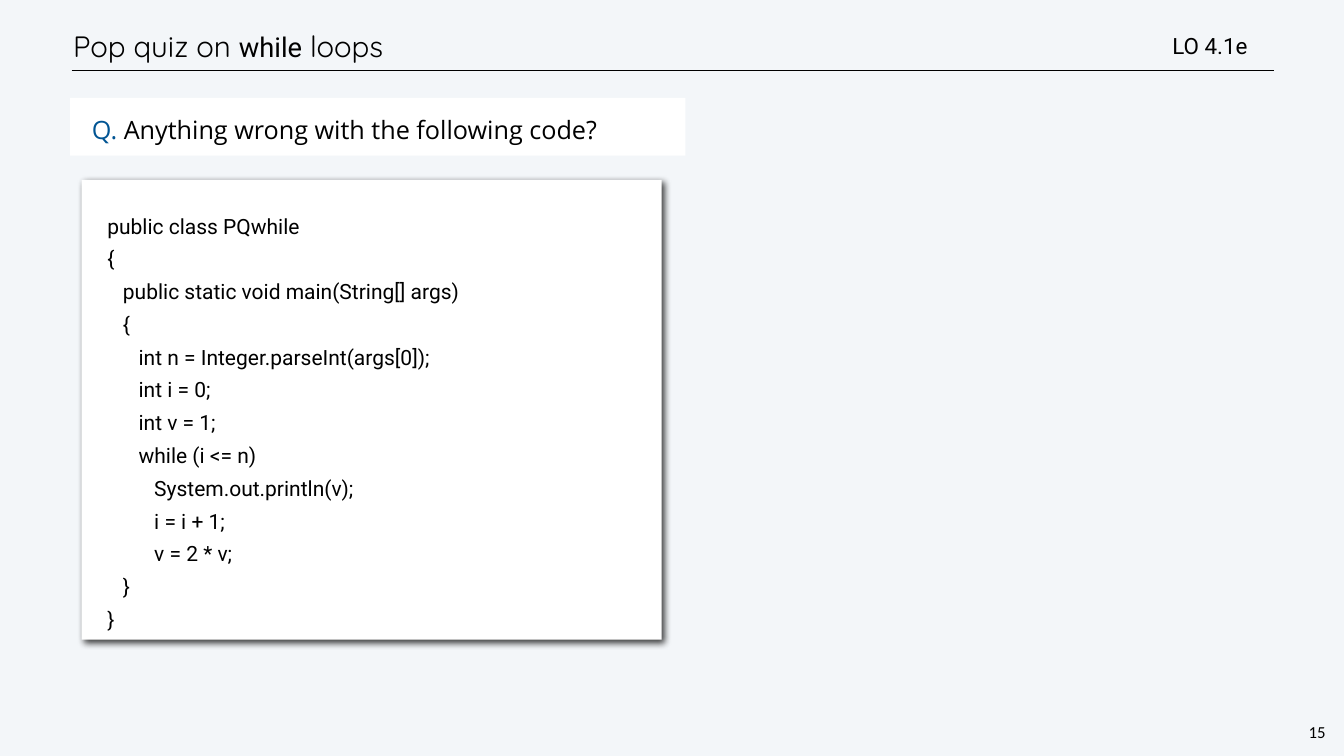
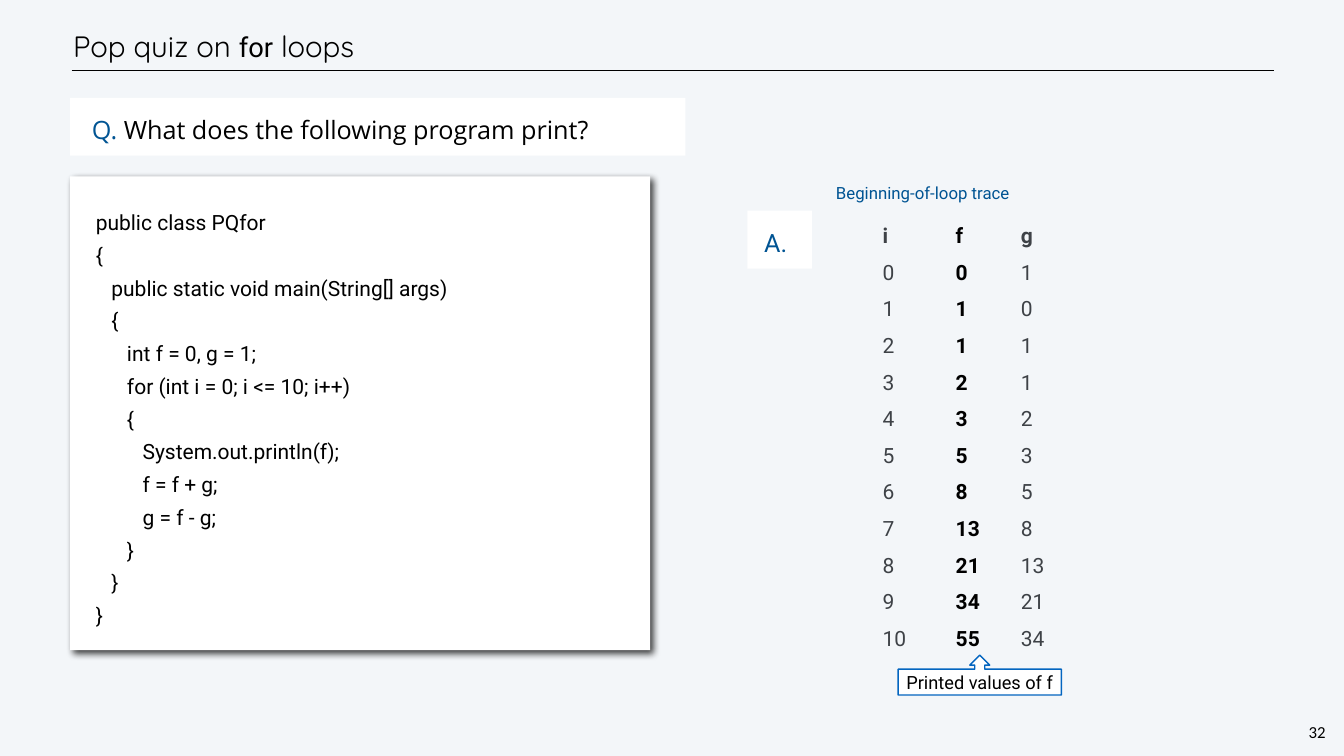
from dataclasses import dataclass
from lxml.etree import SubElement
from pptx import Presentation
from pptx.dml.color import RGBColor as Rgb
from pptx.enum.shapes import MSO_CONNECTOR as Connector, MSO_SHAPE as Shape
from pptx.enum.text import MSO_ANCHOR as Anchor, PP_ALIGN as Align
from pptx.oxml.ns import qn
from pptx.util import Pt


@dataclass(frozen=True)
class Theme:
    back: str = "F3F6F9"
    panel: str = "FFFFFF"
    ink: str = "000000"
    accent: str = "005493"
    outline: str = "0365C0"
    muted: str = "3E4247"
    title_font: str = "Quicksand"
    question_font: str = "Open Sans"
    body_font: str = "Roboto"
    number_font: str = "Calibri"
    title: int = 42
    keyword: int = 39
    question: int = 36
    objective: int = 32
    body: int = 30
    callout: int = 26
    small: int = 24


theme = Theme()
COLUMNS, ROWS = 80, 45
CELL = 304800

WHILE_CODE = """public class PQwhile
{
   public static void main(String[] args)
   {
      int n = Integer.parseInt(args[0]);
      int i = 0;
      int v = 1;
      while (i <= n)
         System.out.println(v);
         i = i + 1;
         v = 2 * v;
   }
}"""

FOR_CODE = """public class PQfor
{
   public static void main(String[] args)
   {
      int f = 0, g = 1;
      for (int i = 0; i <= 10; i++)
      {
         System.out.println(f);
         f = f + g;
         g = f - g;
      }
   }
}"""

QUIZZES = [
    ("while", "Anything wrong with the following code?", WHILE_CODE,
     (4.86, 10.71, 34.53, 27.36), "15"),
    ("for", "What does the following program print?", FOR_CODE,
     (4.17, 10.5, 34.53, 28.2), "32"),
]


def add_box(page, area, inset, fill=None, shape=Shape.RECTANGLE, anchor=Anchor.TOP):
    place = [round(CELL * length) for length in area]
    if fill:
        box = page.shapes.add_shape(shape, *place)
        box.shadow.inherit = False
        box.fill.solid()
        box.fill.fore_color.rgb = Rgb.from_string(fill)
        box.line.fill.background()
    else:
        box = page.shapes.add_textbox(*place)
    frame = box.text_frame
    frame.word_wrap = True
    frame.vertical_anchor = anchor
    frame.margin_left = frame.margin_right = round(CELL * inset)
    frame.margin_top = frame.margin_bottom = round(CELL * inset)
    return box


def write(frame, text, size=theme.body, font=theme.body_font, color=theme.ink,
          bold=False, align=Align.LEFT, spacing=None):
    for index, line in enumerate(text.split("\n")):
        para = frame.add_paragraph() if index else frame.paragraphs[-1]
        para.alignment = align
        para.line_spacing = spacing
        span = para.add_run()
        span.text = line
        span.font.size = Pt(size)
        span.font.name = font
        span.font.bold = bold
        span.font.color.rgb = Rgb.from_string(color)


deck = Presentation()
deck.slide_width = COLUMNS * CELL
deck.slide_height = ROWS * CELL
backdrop = deck.slide_master.background.fill
backdrop.solid()
backdrop.fore_color.rgb = Rgb.from_string(theme.back)

pages = []
for keyword, question, code, code_area, number in QUIZZES:
    page = deck.slides.add_slide(deck.slide_layouts[6])
    pages.append(page)

    rule = page.shapes.add_connector(
        Connector.STRAIGHT, *[round(CELL * length) for length in (4.26, 4.2, 75.81, 4.2)])
    rule.line.color.rgb = Rgb.from_string(theme.ink)
    rule.line.width = Pt(1)
    SubElement(rule.element.spPr, qn("a:effectLst"))

    title = add_box(page, (4.17, 1.26, 67.86, 2.97), 0.18, anchor=Anchor.MIDDLE).text_frame
    write(title, "Pop quiz on ", theme.title, theme.title_font, spacing=Pt(50))
    write(title, keyword, theme.keyword, spacing=Pt(50))
    write(title, " loops", theme.title, theme.title_font, spacing=Pt(50))

    prompt = add_box(page, (4.17, 5.82, 36.63, 3.45), 1, theme.panel).text_frame
    prompt.margin_left = round(CELL * 1.3)
    write(prompt, "Q. ", theme.question, theme.question_font, theme.accent, spacing=Pt(43))
    write(prompt, question, theme.question, theme.question_font, spacing=Pt(43))

    footer = add_box(page, (77.76, 42.87, 1.29, 1.41), 0.12).text_frame
    footer.word_wrap = False
    write(footer, number, theme.small, theme.number_font, align=Align.CENTER, spacing=Pt(28))

    listing = add_box(page, code_area, 1.53, theme.panel)
    write(listing.text_frame, code, spacing=1.3)
    effects = listing.element.spPr.find(qn("a:effectLst"))
    shadow = SubElement(effects, qn("a:outerShdw"), blurRad=str(Pt(10)), dist=str(Pt(6)),
                        dir=str(45 * 60000), algn="tl", rotWithShape="0")
    shade = SubElement(shadow, qn("a:srgbClr"), val=theme.ink)
    SubElement(shade, qn("a:alpha"), val="75000")

while_page, for_page = pages

objective = add_box(while_page, (69.6, 1.74, 8.97, 1.95), 0.18, anchor=Anchor.MIDDLE)
write(objective.text_frame, "LO 4.1e", theme.objective)

answer = add_box(for_page, (44.49, 12.54, 3.84, 3.45), 1, theme.panel)
write(answer.text_frame, "A.", theme.question, color=theme.accent, spacing=Pt(43))

trace = [("i", "f", "g")]
f, g = 0, 1
for i in range(11):
    trace.append((i, f, g))
    f = f + g
    g = f - g

widths = (4.36, 3.88, 3.88)
row_height = 2.18
holder = for_page.shapes.add_table(
    len(trace), len(widths),
    *[round(CELL * length) for length in (52.26, 12.84, sum(widths), row_height * len(trace))])
holder.element.find(".//" + qn("a:tableStyleId")).text = "{2D5ABB26-0587-4C30-8999-92F81FD0307C}"
table = holder.table
table.first_row = table.horz_banding = False
for column, width in zip(table.columns, widths):
    column.width = round(CELL * width)
for row_index, values in enumerate(trace):
    table.rows[row_index].height = round(CELL * row_height)
    for column_index, value in enumerate(values):
        cell = table.cell(row_index, column_index)
        cell.fill.background()
        cell.vertical_anchor = Anchor.MIDDLE
        cell.margin_left = round(CELL * 0.27)
        cell.margin_right = cell.margin_top = cell.margin_bottom = 0
        printed = column_index == 1
        write(cell.text_frame, str(value), color=theme.ink if printed else theme.muted,
              bold=printed or row_index == 0, spacing=Pt(42))

heading = add_box(for_page, (49.26, 10.38, 15.12, 2.13), 0.5)
write(heading.text_frame, "Beginning-of-loop trace", theme.small, color=theme.accent,
      spacing=Pt(28))

callout = add_box(for_page, (53.46, 39, 9.72, 2.37), 0.12, theme.panel,
                  Shape.UP_ARROW_CALLOUT, Anchor.MIDDLE)
callout.line.color.rgb = Rgb.from_string(theme.outline)
callout.line.width = Pt(2)
write(callout.text_frame, "Printed values of f", theme.callout, align=Align.CENTER,
      spacing=Pt(31))

deck.save("out.pptx")
